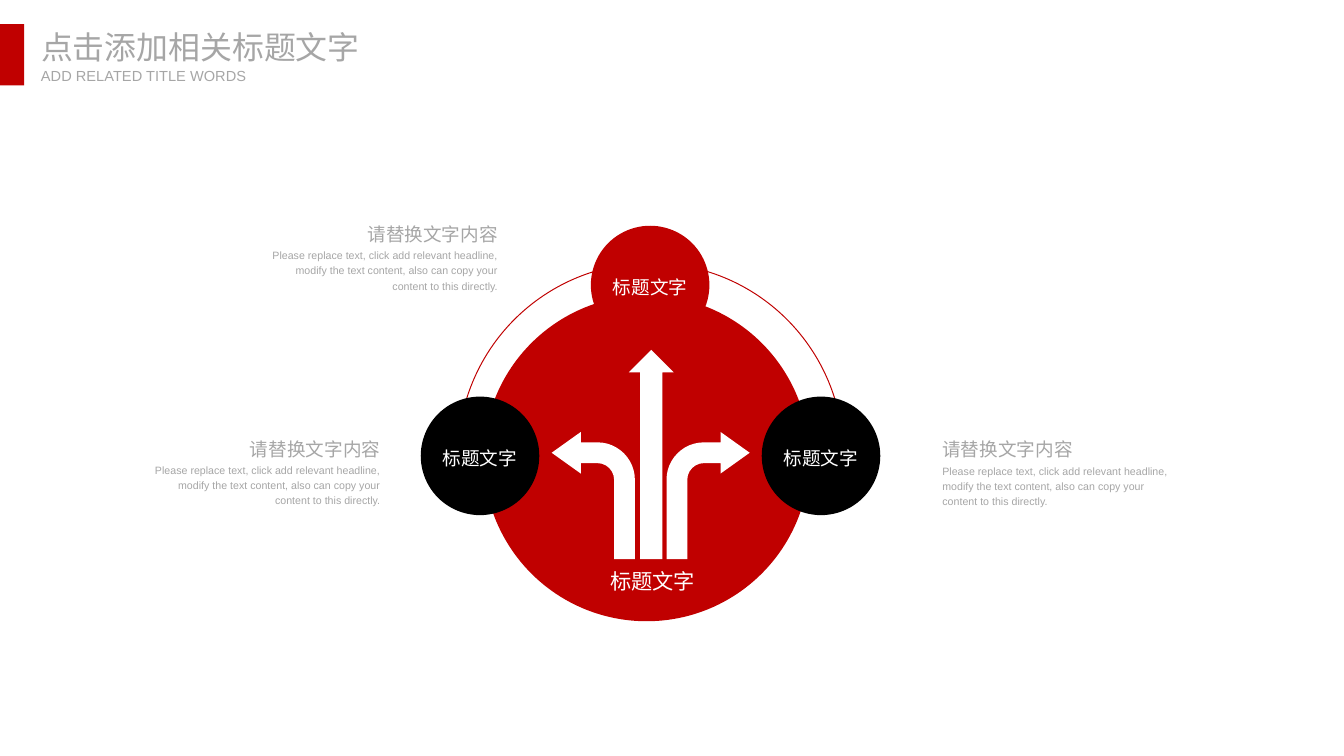
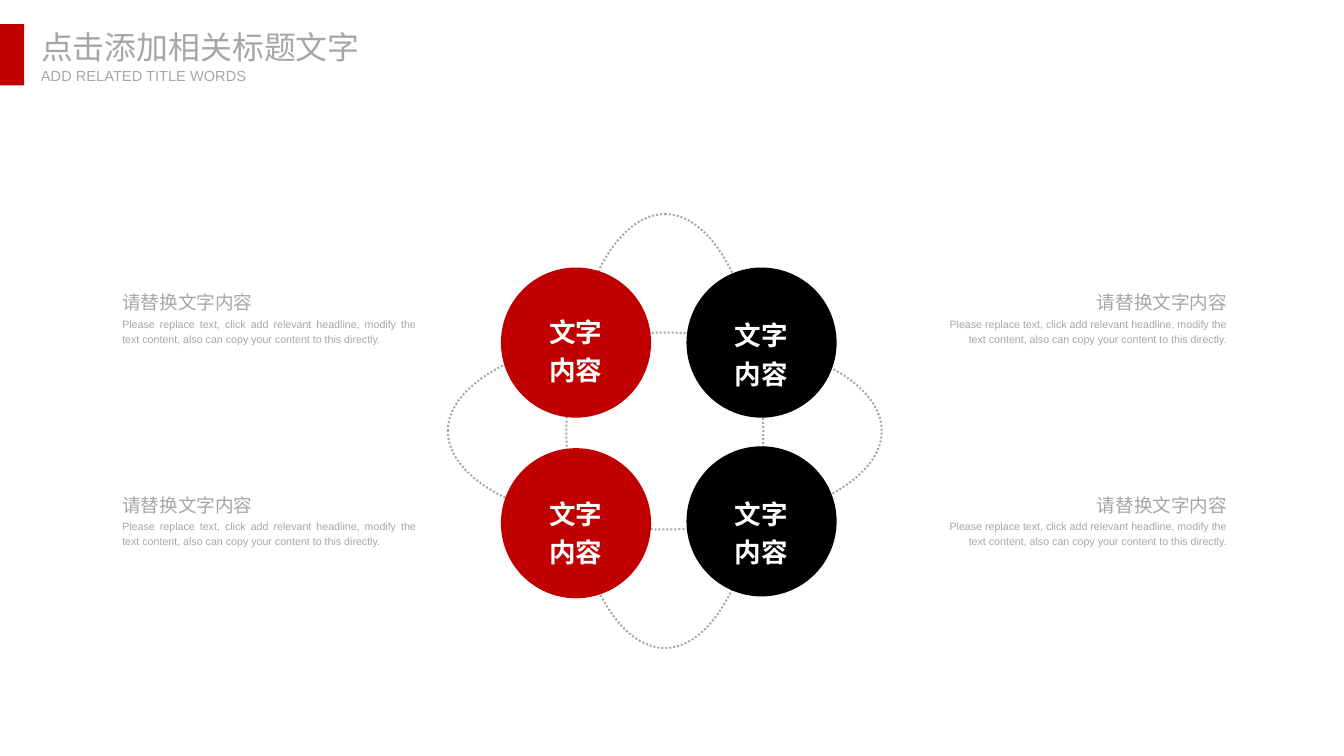
from dataclasses import dataclass

from pptx import Presentation
from pptx import util as u
from pptx.dml.color import RGBColor
from pptx.enum import dml, shapes, text
from pptx.oxml import ns, xmlchemy


@dataclass(frozen=True)
class Theme:
    red: RGBColor = RGBColor(0xC0, 0x00, 0x00)
    black: RGBColor = RGBColor(0x00, 0x00, 0x00)
    white: RGBColor = RGBColor(0xFF, 0xFF, 0xFF)
    grey: RGBColor = RGBColor(0xA6, 0xA6, 0xA6)
    font: str = "Arial"
    title_font: str = "Noto Sans CJK SC"
    title: int = 24
    big: int = 20
    label: int = 16
    heading: int = 14
    subtitle: int = 11
    body: int = 8
    spacing: float = 1.2


THEME = Theme()
PRESET = shapes.MSO_SHAPE
ALIGN = text.PP_ALIGN
ANCHOR = text.MSO_ANCHOR
NO_INSETS = (0, 0, 0, 0)
NOTE_INSETS = (0.25, 0.13, 0.25, 0.13)  # left, top, right, bottom

TITLE = "点击添加相关标题文字"
SUBTITLE = "ADD RELATED TITLE WORDS"
NOTE_HEADING = "请替换文字内容"
NOTE_BODY = ("Please replace text, click add relevant headline, modify the "
             "text content, also can copy your content to this directly.")
NODE_LABEL = "标题文字"
CIRCLE_LABEL = "文字内容"

# All places are in centimetres.
NODE_SIZE = 3.15
NODES = [  # left, top, fill
    (11.18, 10.54, THEME.black),
    (20.24, 10.54, THEME.black),
    (15.7, 6.0, THEME.red),
]
ROAD_NOTES = [  # left, top, width, alignment
    (24.79, 11.4, 6.55, ALIGN.LEFT),
    (6.93, 5.67, 6.55, ALIGN.RIGHT),
    (3.81, 11.38, 6.55, ALIGN.RIGHT),
]
CIRCLE_SIZE = 3.99
CIRCLES = [  # left, top, fill, how far the label sits below the centre
    (13.31, 7.11, THEME.red, 0.14),
    (18.24, 7.11, THEME.black, 0.23),
    (18.24, 11.86, THEME.black, 0.23),
    (13.31, 11.91, THEME.red, 0.18),
]
CIRCLE_NOTES = [
    (left, top, width, align)
    for top in (7.49, 12.87)
    for left, width, align in ((3.0, 8.32, ALIGN.JUSTIFY),
                               (24.69, 8.17, ALIGN.RIGHT))
]


def cm_box(*lengths):
    return [u.Cm(length) for length in lengths]


def write(shape, words, size, color, font=THEME.font, bold=False,
          align=ALIGN.LEFT, anchor=ANCHOR.TOP, spacing=THEME.spacing,
          insets=NOTE_INSETS, wrap=True):
    frame = shape.text_frame
    frame.auto_size = text.MSO_AUTO_SIZE.NONE
    frame.word_wrap = wrap
    frame.vertical_anchor = anchor
    (frame.margin_left, frame.margin_top,
     frame.margin_right, frame.margin_bottom) = cm_box(*insets)
    paragraph = frame.paragraphs[0]
    paragraph.alignment = align
    paragraph.line_spacing = spacing
    paragraph.space_before = u.Pt(0)
    run = paragraph.add_run()
    run.text = words
    run.font.size = u.Pt(size)
    run.font.bold = bold
    run.font.color.rgb = color
    run.font.name = font
    east_asian = xmlchemy.OxmlElement("a:ea")
    east_asian.set("typeface", font)
    run.font._element.find(ns.qn("a:latin")).addnext(east_asian)


def add_text(slide, place, words, size, color, **style):
    write(slide.shapes.add_textbox(*cm_box(*place)), words, size, color, **style)


def add_shape(slide, preset, place, fill=None, line=None, width=0.75):
    shape = slide.shapes.add_shape(preset, *cm_box(*place))
    shape.shadow.inherit = False
    if fill is None:
        shape.fill.background()
    else:
        shape.fill.solid()
        shape.fill.fore_color.rgb = fill
    if line is None:
        shape.line.fill.background()
    else:
        shape.line.color.rgb = line
        shape.line.width = u.Pt(width)
    return shape


def add_note(slide, left, top, width, align):
    add_text(slide, (left, top, width, 0.95), NOTE_HEADING,
             THEME.heading, THEME.grey, align=align)
    add_text(slide, (left, top + 0.75, width, 1.6), NOTE_BODY,
             THEME.body, THEME.grey, align=align)


def add_titled_slide(presentation):
    """Add a slide with the shared red band, title and subtitle."""
    slide = presentation.slides.add_slide(presentation.slide_layouts[5])
    add_shape(slide, PRESET.RECTANGLE, (0, 0.64, 0.64, 1.63), THEME.red)
    title = slide.shapes.title
    title.left, title.top, title.width, title.height = cm_box(1.09, 0.74, 8.56, 1.02)
    header = dict(spacing=1.0, insets=NO_INSETS, wrap=False)
    write(title, TITLE, THEME.title, THEME.grey, font=THEME.title_font,
          anchor=ANCHOR.MIDDLE, **header)
    add_text(slide, (1.09, 1.78, 5.54, 0.48), SUBTITLE,
             THEME.subtitle, THEME.grey, **header)
    return slide


def add_turn_arrow(slide, left, to_left=False):
    arrow = add_shape(slide, PRESET.BENT_ARROW, (left, 11.48, 2.21, 3.38), THEME.white)
    for index, share in enumerate((0.25, 0.25, 0.35, 0.45)):
        arrow.adjustments[index] = share
    if to_left:
        arrow._element.spPr.xfrm.set("flipH", "1")


def build_road_slide(presentation):
    slide = add_titled_slide(presentation)
    arc = add_shape(slide, PRESET.ARC, (12.17, 6.99, 10.24, 10.24), line=THEME.red)
    arc.adjustments[0] = 108  # starts at 180 degrees, ends at 0
    add_shape(slide, PRESET.OVAL, (12.85, 7.85, 8.66, 8.66), THEME.red)
    add_shape(slide, PRESET.UP_ARROW, (16.71, 9.3, 1.19, 5.56), THEME.white)
    add_turn_arrow(slide, 17.71)
    add_turn_arrow(slide, 14.66, to_left=True)
    add_text(slide, (15.88, 14.99, 2.92, 0.79), NODE_LABEL, THEME.label,
             THEME.white, align=ALIGN.CENTER, anchor=ANCHOR.MIDDLE)
    for left, top, fill in NODES:
        node = add_shape(slide, PRESET.OVAL, (left, top, NODE_SIZE, NODE_SIZE), fill)
        write(node, NODE_LABEL, THEME.heading, THEME.white,
              align=ALIGN.CENTER, anchor=ANCHOR.MIDDLE, insets=NO_INSETS)
    for note in ROAD_NOTES:
        add_note(slide, *note)


def build_circle_slide(presentation):
    slide = add_titled_slide(presentation)
    for angle in (0, 90):
        orbit = add_shape(slide, PRESET.OVAL, (11.9, 8.84, 11.53, 5.23),
                          line=THEME.grey, width=1.5)
        orbit.line.dash_style = dml.MSO_LINE.ROUND_DOT
        orbit.rotation = angle
    for left, top, fill, drop in CIRCLES:
        circle = add_shape(slide, PRESET.OVAL, (left, top, CIRCLE_SIZE, CIRCLE_SIZE), fill)
        write(circle, CIRCLE_LABEL, THEME.big, THEME.white, bold=True,
              align=ALIGN.CENTER, anchor=ANCHOR.MIDDLE,
              insets=(0.6, 2 * drop, 0.6, 0))
    for note in CIRCLE_NOTES:
        add_note(slide, *note)


def main():
    presentation = Presentation()
    presentation.slide_width, presentation.slide_height = cm_box(35.71, 20.09)
    build_road_slide(presentation)
    build_circle_slide(presentation)
    presentation.save("out.pptx")


if __name__ == "__main__":
    main()
